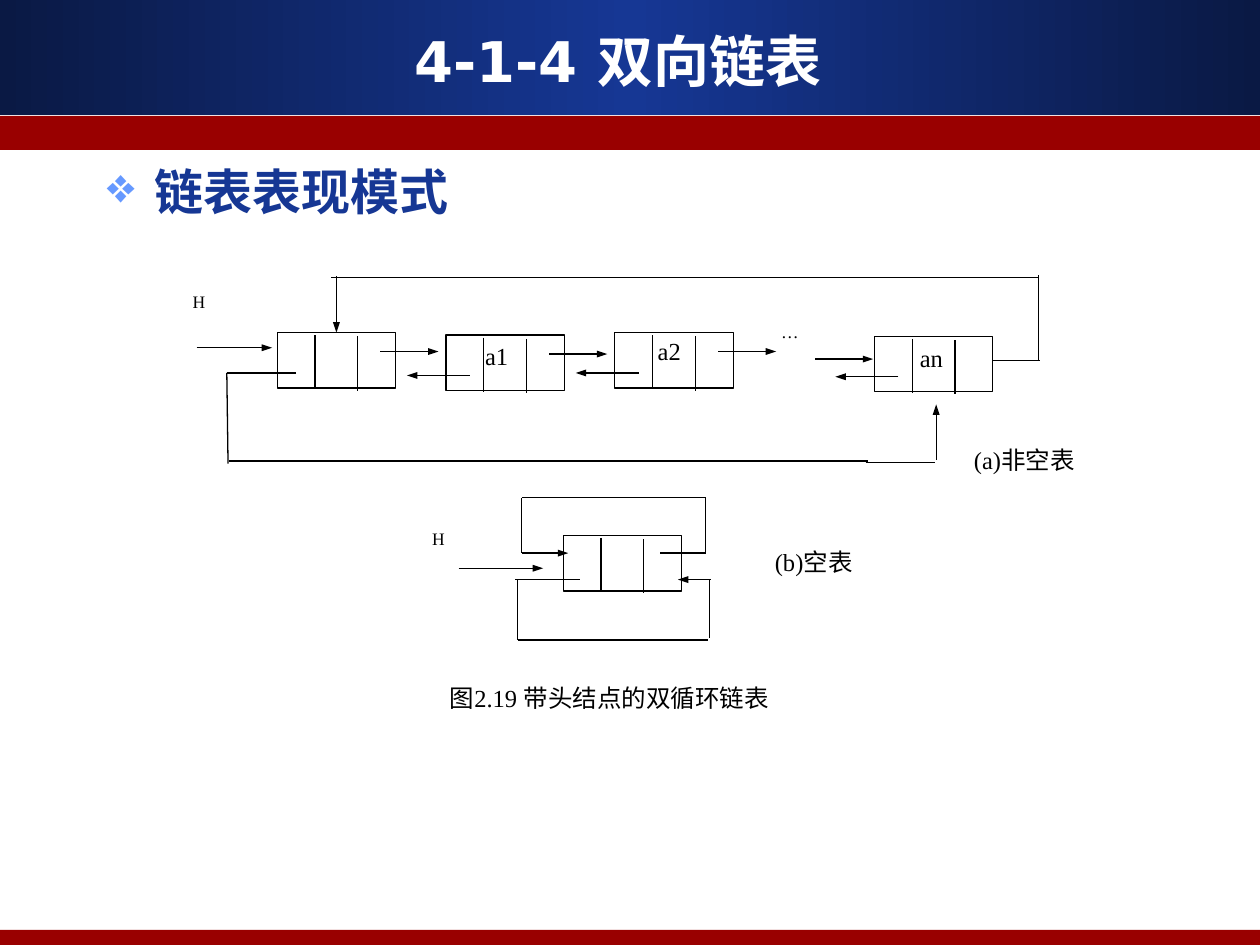
from copy import deepcopy
from pptx import Presentation
from pptx.dml.color import RGBColor
from pptx.enum.shapes import MSO_CONNECTOR, MSO_SHAPE
from pptx.enum.text import MSO_ANCHOR, PP_ALIGN
from pptx.oxml.ns import qn
from pptx.oxml.xmlchemy import OxmlElement
from pptx.util import Inches, Pt

NAVY = RGBColor(0x0A, 0x19, 0x44)
BLUE = RGBColor(0x16, 0x37, 0x94)
RED = RGBColor(0x99, 0x00, 0x00)
WHITE = RGBColor(0xFF, 0xFF, 0xFF)
BLACK = RGBColor(0x00, 0x00, 0x00)

prs = Presentation()
prs.slide_width, prs.slide_height = Inches(10), Inches(7.5)
s = prs.slides.add_slide(prs.slide_layouts[6])


def add_text(x, y, w, h, text, size, font="Times New Roman", color=BLACK, bold=False, inset=0):
    tf = s.shapes.add_textbox(Inches(x), Inches(y), Inches(w), Inches(h)).text_frame
    tf.word_wrap = True
    tf.margin_left = tf.margin_right = Inches(inset)
    tf.margin_top = tf.margin_bottom = Inches(inset / 2)
    r = tf.paragraphs[0].add_run()
    r.text = text
    r.font.size, r.font.name, r.font.bold = Pt(size), font, bold
    r.font.color.rgb = color
    return tf


def add_line(x1, y1, x2, y2, arrow=False):
    c = s.shapes.add_connector(MSO_CONNECTOR.STRAIGHT, Inches(x1), Inches(y1), Inches(x2), Inches(y2))
    c.line.color.rgb = BLACK
    c.line.width = Pt(0.75)
    if arrow:
        tail = OxmlElement("a:tailEnd")
        for key, value in (("type", "triangle"), ("w", "sm"), ("len", "med")):
            tail.set(key, value)
        c.line._get_or_add_ln().append(tail)
    c._element.spPr.append(OxmlElement("a:effectLst"))
    return c


bands = []
for y, h in [(0, 0.91), (0.92, 0.27), (7.38, 0.13)]:
    sp = s.shapes.add_shape(MSO_SHAPE.RECTANGLE, 0, Inches(y), prs.slide_width, Inches(h))
    sp.shadow.inherit = False
    sp.line.fill.background()
    sp.fill.solid()
    sp.fill.fore_color.rgb = RED
    bands.append(sp)

fill = bands[0].fill
fill.gradient()
fill.gradient_angle = 0
stops = bands[0]._element.spPr.find(".//" + qn("a:gsLst"))
stops.append(deepcopy(stops[0]))
for stop, pos, color in zip(fill.gradient_stops, (0, 0.5, 1), (NAVY, BLUE, NAVY)):
    stop.position = pos
    stop.color.rgb = color

tf = add_text(0.33, 0.17, 9.25, 0.62, "4-1-4 双向链表 ", 32, "DejaVu Sans", WHITE, True, 0.1)
tf.vertical_anchor = MSO_ANCHOR.MIDDLE
tf.paragraphs[0].alignment = PP_ALIGN.CENTER

tf = add_text(0.75, 1.23, 8.66, 1.02, "链表表现模式", 28, "Arial", BLUE, True, 0.1)
p = tf.paragraphs[0]
p.space_before = Pt(7)
pPr = p._p.get_or_add_pPr()
pPr.set("marL", str(Inches(0.38)))
pPr.set("indent", str(Inches(-0.38)))
buClr = OxmlElement("a:buClr")
clr = OxmlElement("a:srgbClr")
clr.set("val", "6699FF")
buClr.append(clr)
buChar = OxmlElement("a:buChar")
buChar.set("char", "❖")
pPr.extend([buClr, buChar])

nodes = []
for x, y in [(2.2, 2.64), (3.54, 2.66), (4.88, 2.64), (6.94, 2.67), (4.47, 4.25)]:
    sp = s.shapes.add_shape(MSO_SHAPE.RECTANGLE, Inches(x), Inches(y), Inches(0.94), Inches(0.44))
    sp.shadow.inherit = False
    sp.fill.solid()
    sp.fill.fore_color.rgb = WHITE
    sp.line.color.rgb = BLACK
    sp.line.width = Pt(0.75)
    add_line(x + 0.3, y + 0.02, x + 0.3, y + 0.45)
    add_line(x + 0.64, y + 0.03, x + 0.64, y + 0.46)
    nodes.append((sp, x, y))

for sp, x, y in nodes[:3]:
    add_line(x + 0.82, y + 0.15, x + 1.28, y + 0.15, True)
for sp, x, y in nodes[1:4]:
    add_line(x + 0.19, y + 0.32, x - 0.31, y + 0.32, True)
add_line(6.47, 2.85, 6.93, 2.85, True)

for x, y, w, h, text, size in [
    (1.53, 2.31, 0.37, 0.35, "H", 10),
    (3.85, 2.71, 0.2, 0.31, "a1", 14),
    (5.22, 2.67, 0.27, 0.35, "a2", 14),
    (6.2, 2.55, 0.37, 0.44, "…", 10),
    (7.3, 2.72, 0.2, 0.31, "an", 14),
    (7.73, 3.53, 1.13, 0.67, "(a)非空表", 14),
    (3.43, 4.19, 0.18, 0.44, "H", 10),
    (6.15, 4.34, 0.73, 0.44, "(b)空表", 14),
    (3.57, 5.42, 2.8, 0.53, "图2.19 带头结点的双循环链表", 14),
]:
    add_text(x, y, w, h, text, size)

for x1, y1, x2, y2 in [
    (7.88, 2.86, 8.25, 2.86),
    (8.24, 2.86, 8.24, 2.18),
    (8.24, 2.2, 2.63, 2.2),
    (2.35, 2.96, 1.8, 2.96),
    (1.8, 2.96, 1.81, 3.68),
    (1.82, 3.66, 6.89, 3.66),
    (6.87, 3.67, 7.42, 3.67),
    (5.24, 4.39, 5.6, 4.39),
    (5.6, 4.39, 5.6, 3.95),
    (5.6, 3.95, 4.14, 3.95),
    (4.14, 3.95, 4.14, 4.39),
    (4.6, 4.6, 4.09, 4.6),
    (4.11, 4.6, 4.11, 5.08),
    (4.11, 5.08, 5.62, 5.08),
    (5.63, 5.06, 5.63, 4.6),
]:
    add_line(x1, y1, x2, y2)

for x1, y1, x2, y2 in [
    (1.56, 2.76, 2.16, 2.76),
    (7.43, 3.65, 7.43, 3.21),
    (3.64, 4.51, 4.31, 4.51),
    (4.14, 4.39, 4.51, 4.39),
    (5.64, 4.6, 5.38, 4.6),
]:
    add_line(x1, y1, x2, y2, True)
add_line(2.67, 2.19, 2.67, 2.64, True).end_connect(nodes[0][0], 0)

prs.save("out.pptx")
